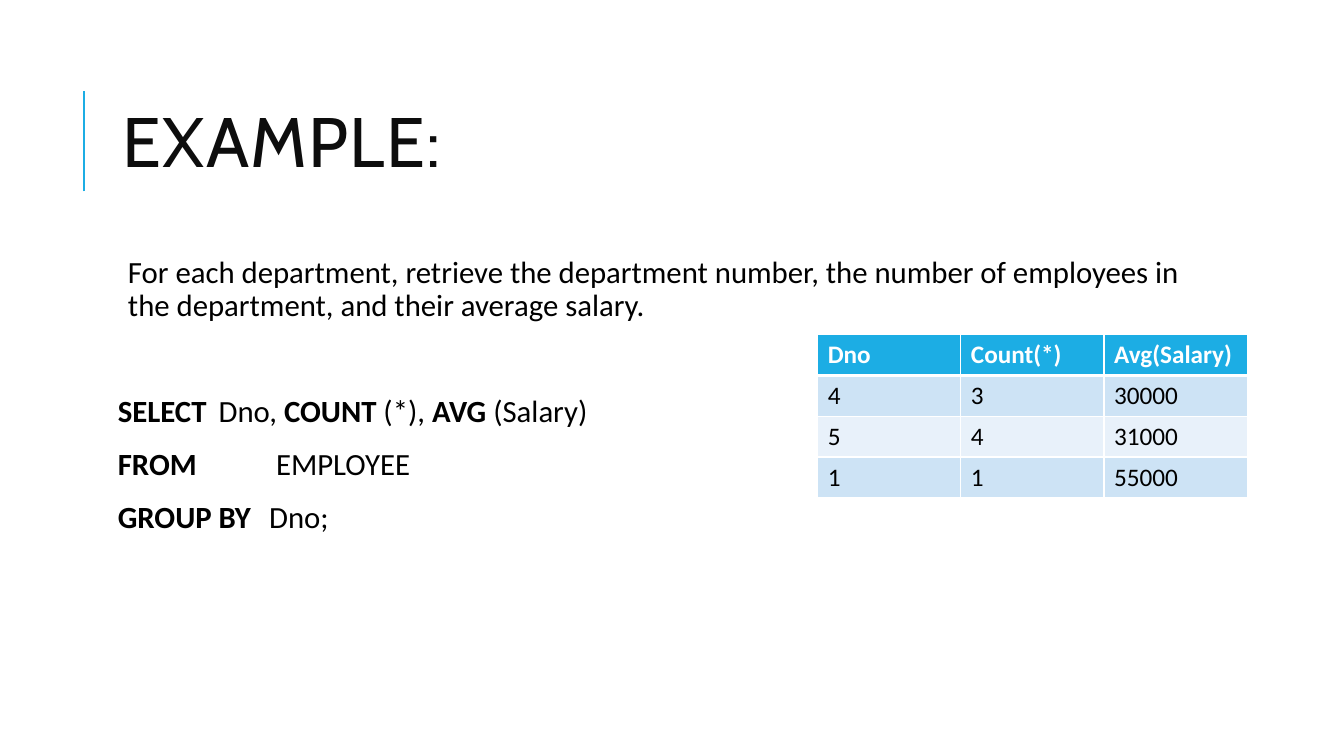
from dataclasses import dataclass

from lxml import etree
from pptx import Presentation
from pptx import util as u
from pptx.dml.color import RGBColor
from pptx.enum import shapes, text
from pptx.oxml import ns


@dataclass(frozen=True)
class Theme:
    accent: str = "1CADE4"
    title_ink: str = "0D0D0D"
    ink: str = "000000"
    paper: str = "FFFFFF"
    bands: tuple = ("CDE3F5", "E8F1FA")
    heading_font: str = "Cabin"
    body_font: str = "Calibri"
    title_size: int = 50
    body_size: int = 22
    table_size: int = 18


def add_run(paragraph, words, *, font, size, color, bold=False, tracking=0):
    """Append formatted text to a paragraph; tracking is in points."""
    run = paragraph.add_run()
    run.text = words
    run.font.name, run.font.size, run.font.bold = font, u.Pt(size), bold
    run.font.color.rgb = RGBColor.from_string(color)
    if tracking:
        run.font._element.set("spc", str(tracking * 100))


class SlideBuilder:
    """Holds the theme and slide; lengths are percentages of the slide."""

    def __init__(self, deck, theme):
        self.theme = theme
        self.width, self.height = deck.slide_width, deck.slide_height
        self.slide = deck.slides.add_slide(deck.slide_layouts[6])
        self.slide.background.fill.solid()
        self.slide.background.fill.fore_color.rgb = RGBColor.from_string(theme.paper)

    def x(self, share):
        return round(self.width * share / 100)

    def y(self, share):
        return round(self.height * share / 100)

    def box(self, left, top, width, height):
        return self.x(left), self.y(top), self.x(width), self.y(height)

    def rule(self, left, top, bottom):
        accent_rule = self.slide.shapes.add_connector(
            shapes.MSO_CONNECTOR.STRAIGHT,
            self.x(left), self.y(bottom), self.x(left), self.y(top))
        accent_rule.line.color.rgb = RGBColor.from_string(self.theme.accent)
        accent_rule.line.width = u.Pt(1.5)
        etree.SubElement(accent_rule._element.spPr, ns.qn("a:effectLst"))

    def frame(self, area, inset, anchor):
        frame = self.slide.shapes.add_textbox(*self.box(*area)).text_frame
        frame.word_wrap = True
        frame.vertical_anchor = anchor
        frame.margin_left = frame.margin_right = u.Inches(inset)
        frame.margin_top = frame.margin_bottom = u.Inches(0.05)
        return frame

    def title(self, words, area):
        heading = self.frame(area, 0.1, text.MSO_ANCHOR.MIDDLE).paragraphs[0]
        heading.line_spacing = 0.8
        add_run(heading, words, font=self.theme.heading_font, size=self.theme.title_size,
                color=self.theme.title_ink, tracking=1)

    def body(self, question, query, area):
        frame = self.frame(area, 0.05, text.MSO_ANCHOR.TOP)
        lines = [[(question, False)], *query]
        for index, line in enumerate(lines):
            paragraph = frame.paragraphs[0] if index == 0 else frame.add_paragraph()
            paragraph.line_spacing = 0.9
            # The query starts after a wide gap below the question
            paragraph.space_before = u.Pt(50 if index == 1 else 12)
            paragraph.space_after = u.Pt(2)
            if index == 0:
                paragraph._p.get_or_add_pPr().set("marL", str(u.Inches(0.1)))
            for words, bold in line:
                add_run(paragraph, words, font=self.theme.body_font,
                        size=self.theme.body_size, color=self.theme.ink, bold=bold)

    def borders(self, cell, **points):
        for side, width in points.items():
            line = etree.SubElement(cell._tc.get_or_add_tcPr(), ns.qn(f"a:ln{side}"),
                                    w=str(u.Pt(width)))
            fill = etree.SubElement(line, ns.qn("a:solidFill"))
            etree.SubElement(fill, ns.qn("a:srgbClr"), val=self.theme.paper)

    def table(self, rows, left, top, width, row_height):
        theme = self.theme
        area = self.box(left, top, width, row_height * len(rows))
        result = self.slide.shapes.add_table(len(rows), len(rows[0]), *area).table
        for r, row in enumerate(rows):
            header = r == 0
            for c, value in enumerate(row):
                cell = result.cell(r, c)
                self.borders(cell, L=1, R=1, T=3 if r == 1 else 1, B=3 if header else 1)
                cell.fill.solid()
                shade = theme.accent if header else theme.bands[(r - 1) % 2]
                cell.fill.fore_color.rgb = RGBColor.from_string(shade)
                add_run(cell.text_frame.paragraphs[0], value, font=theme.body_font,
                        size=theme.table_size, bold=header,
                        color=theme.paper if header else theme.ink)


def main():
    deck = Presentation()
    deck.slide_width, deck.slide_height = u.Inches(13.33), u.Inches(7.5)
    example = SlideBuilder(deck, Theme())

    # Heading with its accent rule
    example.rule(6.23, 12, 25.33)
    example.title("EXAMPLE:", (8.4, 8.53, 79.75, 21.87))

    # Question and the query that answers it
    question = ("For each department, retrieve the department number, the number of "
                "employees in the department, and their average salary.")
    query = [
        [("SELECT \t", True), ("Dno, ", False), ("COUNT ", True), ("(*), ", False),
         ("AVG ", True), ("(Salary)", False)],
        [("FROM\t\t ", True), ("EMPLOYEE", False)],
        [("GROUP BY \t", True), ("Dno;", False)],
    ]
    example.body(question, query, (8.4, 33.33, 79.75, 58.67))

    # Query result
    result = [("Dno", "Count(*)", "Avg(Salary)"), ("4", "3", "30000"),
              ("5", "4", "31000"), ("1", "1", "55000")]
    example.table(result, 60.84, 44.27, 31.96, 5.4)

    deck.save("out.pptx")


if __name__ == "__main__":
    main()
